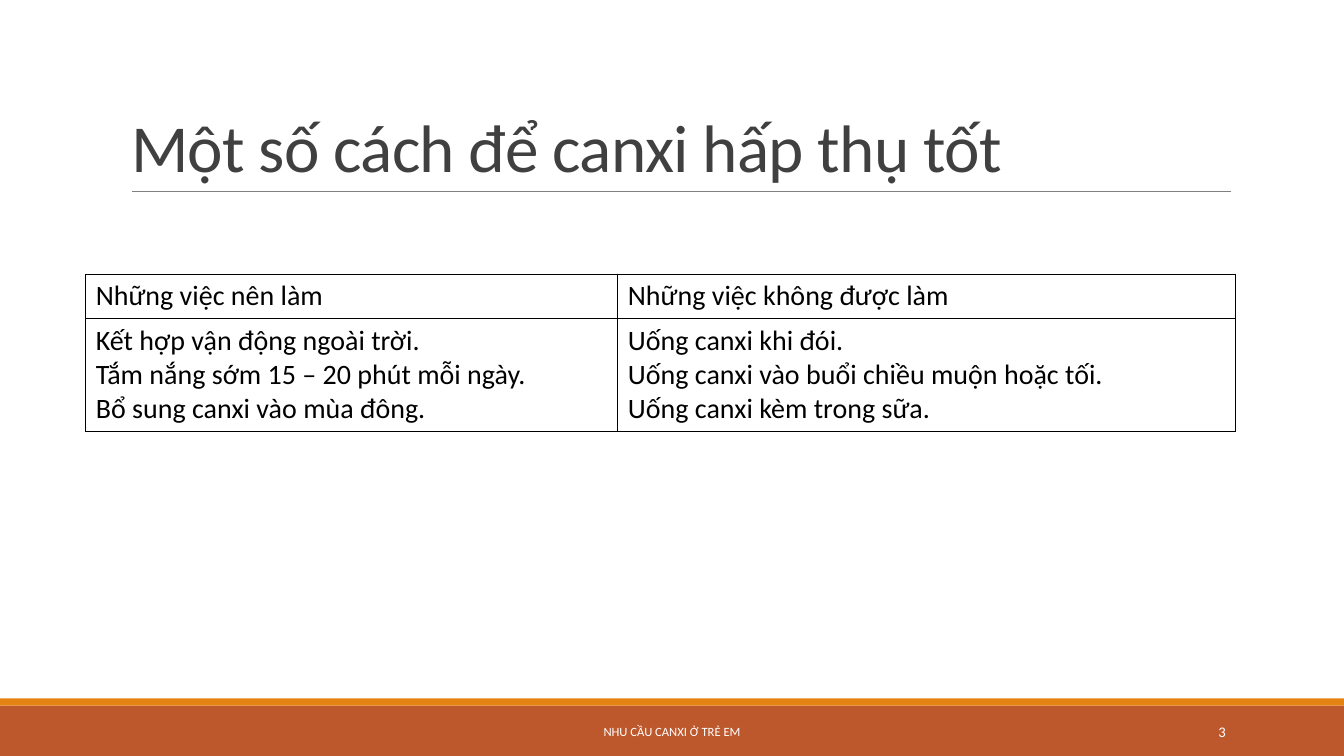
"""Builds the slide on ways to help children absorb calcium."""
from dataclasses import dataclass

from lxml import etree
from pptx import Presentation
from pptx import util as u
from pptx.dml.color import RGBColor
from pptx.enum import shapes, text
from pptx.oxml.ns import qn

FONT = "Calibri"
BLACK, WHITE = "000000", "FFFFFF"


@dataclass(frozen=True)
class Box:
    left: float
    top: float
    width: float
    height: float

    def lengths(self) -> tuple:
        return tuple(u.Cm(n) for n in (self.left, self.top, self.width, self.height))


@dataclass(frozen=True)
class Band:
    box: Box
    colour: str


@dataclass(frozen=True)
class FooterLabel:
    box: Box
    wording: str
    size: float
    align: text.PP_ALIGN


@dataclass(frozen=True)
class AdviceColumn:
    width: float
    heading: str
    advice: tuple[str, ...]


BANDS = (
    Band(Box(0, 17.78, 33.87, 1.27), "BD582C"),
    Band(Box(0, 17.6, 33.87, 0.18), "E48312"),
)
FOOTER_LABELS = (
    FooterLabel(Box(10.24, 17.94, 13.39, 1.01), "NHU CẦU CANXI Ở TRẺ EM", 9, text.PP_ALIGN.CENTER),
    FooterLabel(Box(27.51, 17.94, 3.63, 1.01), "3", 10.5, text.PP_ALIGN.RIGHT),
)
ADVICE_COLUMNS = (
    AdviceColumn(13.41, "Những việc nên làm", (
        "Kết hợp vận động ngoài trời.",
        "Tắm nắng sớm 15 – 20 phút mỗi ngày.",
        "Bổ sung canxi vào mùa đông.",
    )),
    AdviceColumn(15.57, "Những việc không được làm", (
        "Uống canxi khi đói.",
        "Uống canxi vào buổi chiều muộn hoặc tối.",
        "Uống canxi kèm trong sữa.",
    )),
)
ROW_HEIGHTS = (1.12, 2.85)


def rgb(colour: str) -> RGBColor:
    return RGBColor.from_string(colour)


def write(frame, lines: tuple[str, ...], size: float, colour: str, align=text.PP_ALIGN.LEFT) -> None:
    frame.text = "\n".join(lines)
    frame.word_wrap = True
    for paragraph in frame.paragraphs:
        paragraph.alignment = align
        paragraph.font.name = FONT
        paragraph.font.size = u.Pt(size)
        paragraph.font.color.rgb = rgb(colour)


def draw_band(slide, band: Band) -> None:
    strip = slide.shapes.add_shape(shapes.MSO_SHAPE.RECTANGLE, *band.box.lengths())
    strip.shadow.inherit = False
    strip.fill.solid()
    strip.fill.fore_color.rgb = rgb(band.colour)
    strip.line.fill.background()


def draw_title(slide, wording: str) -> None:
    title = slide.shapes.title
    title.left, title.top, title.width, title.height = Box(3.05, 0.79, 27.94, 4.04).lengths()
    frame = title.text_frame
    write(frame, (wording,), 48, "404040")
    frame.auto_size = text.MSO_AUTO_SIZE.NONE
    frame.vertical_anchor = text.MSO_ANCHOR.BOTTOM
    paragraph = frame.paragraphs[0]
    paragraph.line_spacing = 0.85
    paragraph.runs[0].font._element.set("spc", "-50")


def draw_title_rule(slide) -> None:
    rule = slide.shapes.add_connector(
        shapes.MSO_CONNECTOR.STRAIGHT, u.Cm(3.33), u.Cm(4.83), u.Cm(31.01), u.Cm(4.83))
    rule.line.color.rgb = rgb("808080")
    rule.line.width = u.Pt(0.5)
    etree.SubElement(rule._element.spPr, qn("a:effectLst"))


def border_cell(cell) -> None:
    properties = cell._tc.get_or_add_tcPr()
    for index, side in enumerate(("lnL", "lnR", "lnT", "lnB")):
        edge = etree.Element(qn(f"a:{side}"), w=str(u.Pt(1)))
        fill = etree.SubElement(edge, qn("a:solidFill"))
        etree.SubElement(fill, qn("a:srgbClr"), val=BLACK)
        properties.insert(index, edge)


def draw_advice_table(slide) -> None:
    width = sum(column.width for column in ADVICE_COLUMNS)
    box = Box(2.16, 6.91, width, sum(ROW_HEIGHTS))
    table = slide.shapes.add_table(len(ROW_HEIGHTS), len(ADVICE_COLUMNS), *box.lengths()).table
    table.first_row = table.horz_banding = False
    for row, height in zip(table.rows, ROW_HEIGHTS):
        row.height = u.Cm(height)
    for index, column in enumerate(ADVICE_COLUMNS):
        table.columns[index].width = u.Cm(column.width)
        for row_index, lines in enumerate(((column.heading,), column.advice)):
            cell = table.cell(row_index, index)
            write(cell.text_frame, lines, 20, BLACK)
            cell.fill.background()
            border_cell(cell)


def draw_footer_label(slide, label: FooterLabel) -> None:
    frame = slide.shapes.add_textbox(*label.box.lengths()).text_frame
    write(frame, (label.wording,), label.size, WHITE, label.align)
    frame.vertical_anchor = text.MSO_ANCHOR.MIDDLE


def main() -> None:
    deck = Presentation()
    deck.slide_width, deck.slide_height = u.Cm(33.87), u.Cm(19.05)
    slide = deck.slides.add_slide(deck.slide_layouts[5])
    for band in BANDS:
        draw_band(slide, band)
    draw_title_rule(slide)
    draw_title(slide, "Một số cách để canxi hấp thụ tốt")
    draw_advice_table(slide)
    for label in FOOTER_LABELS:
        draw_footer_label(slide, label)
    deck.save("out.pptx")


if __name__ == "__main__":
    main()
